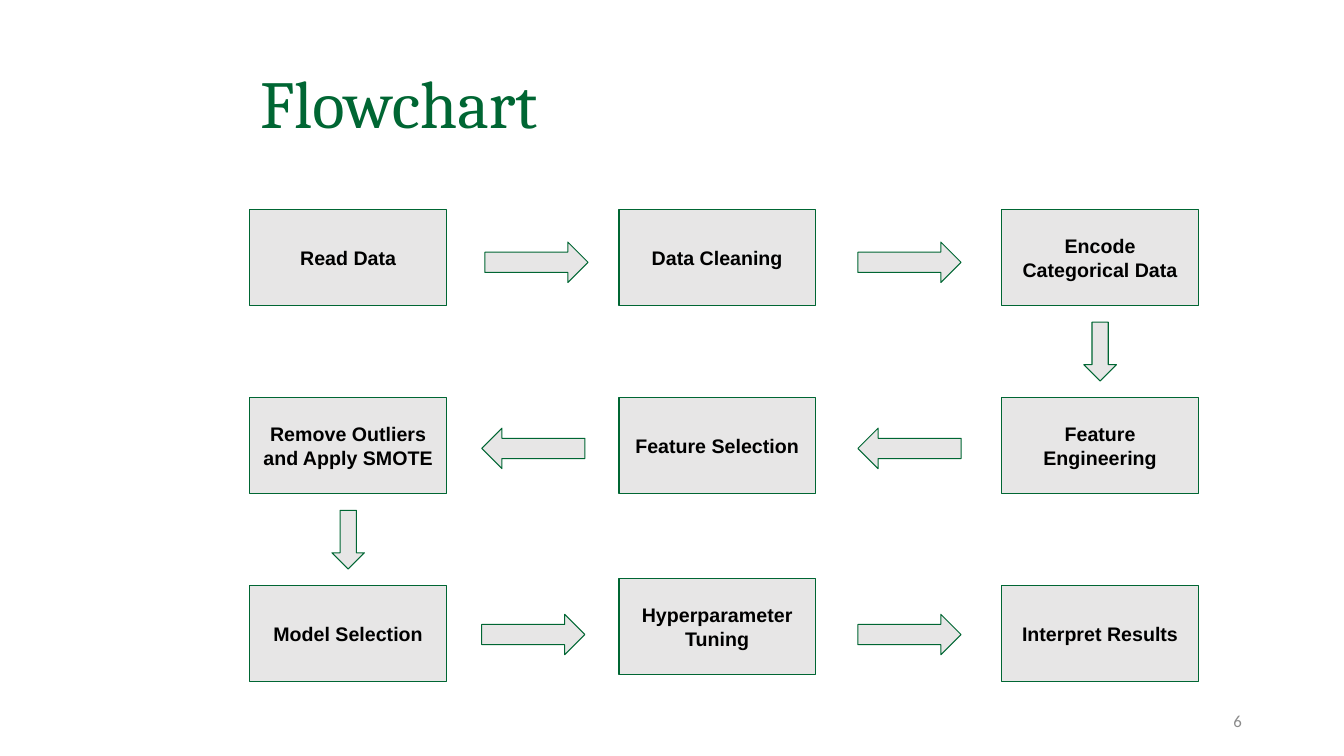
"""Build the flowchart slide: nine steps in a winding three-by-three grid."""
from pptx import Presentation
from pptx import util as u
from pptx.dml.color import RGBColor
from pptx.enum import shapes, text

TITLE = "Flowchart"
PAGE = "6"
STEPS = [
    ["Read Data", "Data Cleaning", "Encode Categorical Data"],
    ["Remove Outliers and Apply SMOTE", "Feature Selection", "Feature Engineering"],
    ["Model Selection", "Hyperparameter Tuning", "Interpret Results"],
]
LIFT = {"Hyperparameter Tuning": 0.18}
FLOWS = [
    ("RIGHT_ARROW", (12.22, 21.62)),
    ("LEFT_ARROW", (12.14, 21.62)),
    ("RIGHT_ARROW", (12.14, 21.62)),
]
TURNS = [2, 0]
COLORS = {"green": "006633", "box": "E7E6E6", "ink": "000000", "page": "8B8B8B"}

COLS = (6.3, 15.6, 25.25)
TOP, STEP = 5.28, 4.74
BOX_W, BOX_H = 4.95, 2.42
FLOW_TOP, FLOW_STEP = 6.1, 4.69
FLOW_W, FLOW_H = 2.6, 1.02
TURN_W, TURN_H = 0.82, 1.48


def tint(name):
    return RGBColor.from_string(COLORS[name])


def write(shape, words, size, face, color, align, anchor, bold=False):
    frame = shape.text_frame
    frame.word_wrap = True
    frame.auto_size = text.MSO_AUTO_SIZE.NONE
    frame.vertical_anchor = anchor
    para = frame.paragraphs[0]
    para.alignment = align
    run = para.add_run()
    run.text = words
    font = run.font
    font.size, font.name, font.bold = u.Pt(size), face, bold
    font.color.rgb = tint(color)
    return frame


def draw(slide, kind, *box):
    shape = slide.shapes.add_shape(
        getattr(shapes.MSO_SHAPE, kind), *(u.Cm(n) for n in box))
    shape.shadow.inherit = False
    shape.fill.solid()
    shape.fill.fore_color.rgb = tint("box")
    shape.line.color.rgb = tint("green")
    shape.line.width = u.Pt(0.75)
    return shape


def main():
    deck = Presentation()
    deck.slide_width, deck.slide_height = u.Cm(33.87), u.Cm(19.05)
    slide = deck.slides.add_slide(deck.slide_layouts[5])
    align, anchor = text.PP_ALIGN, text.MSO_ANCHOR

    title = slide.shapes.title
    title.left, title.top = u.Cm(COLS[0]), u.Cm(1.32)
    title.width, title.height = u.Cm(27.74), u.Cm(2.41)
    frame = write(title, TITLE, 48, "Cambria", "green", align.LEFT, anchor.BOTTOM)
    frame.paragraphs[0].line_spacing = 0.9

    page = slide.shapes.add_textbox(u.Cm(23.93), u.Cm(17.65), u.Cm(7.62), u.Cm(1.02))
    write(page, PAGE, 12, "Calibri", "page", align.RIGHT, anchor.MIDDLE)

    for row, steps in enumerate(STEPS):
        for left, words in zip(COLS, steps):
            top = TOP + row * STEP - LIFT.get(words, 0)
            box = draw(slide, "RECTANGLE", left, top, BOX_W, BOX_H)
            frame = write(box, words, 14, "Arial", "ink",
                          align.CENTER, anchor.MIDDLE, True)
            frame.margin_left = frame.margin_right = u.Cm(0.25)
            frame.margin_top = frame.margin_bottom = u.Cm(0.25)

    for row, (kind, lefts) in enumerate(FLOWS):
        for left in lefts:
            draw(slide, kind, left, FLOW_TOP + row * FLOW_STEP, FLOW_W, FLOW_H)

    for row, col in enumerate(TURNS):
        left = COLS[col] + (BOX_W - TURN_W) / 2
        top = TOP + row * STEP + BOX_H + (STEP - BOX_H - TURN_H) / 2
        draw(slide, "DOWN_ARROW", left, top, TURN_W, TURN_H)

    deck.save("out.pptx")


if __name__ == "__main__":
    main()
